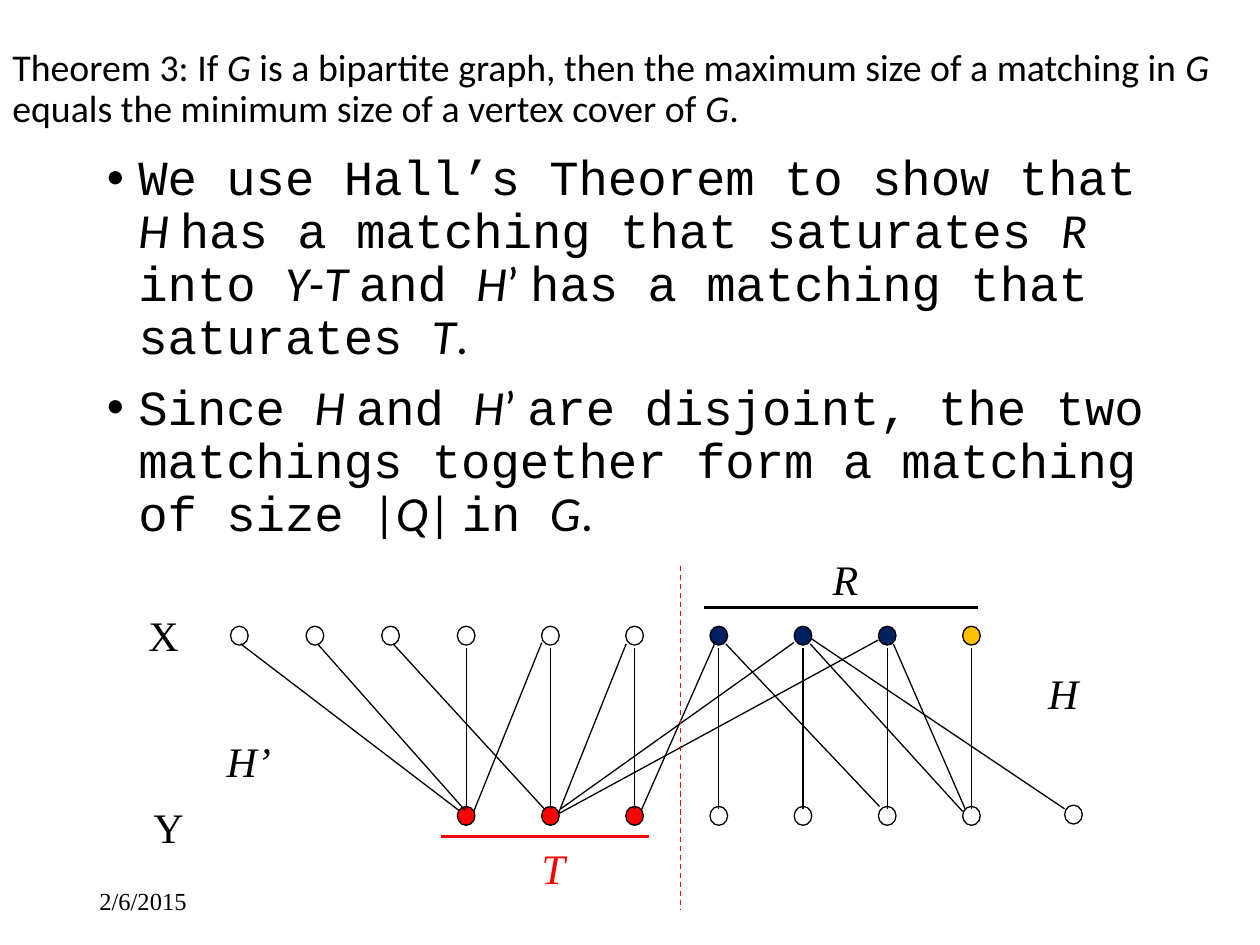
from pptx import Presentation
from pptx.dml.color import RGBColor
from pptx.enum.dml import MSO_LINE
from pptx.enum.shapes import MSO_CONNECTOR as Conn, MSO_SHAPE as Shape
from pptx.enum.text import MSO_ANCHOR as Anchor
from pptx.oxml.ns import qn
from pptx.util import Inches, Pt
from lxml.etree import SubElement

BLACK = RGBColor(0, 0, 0)
RED = RGBColor(0xFF, 0, 0)
NAVY = RGBColor(0, 0x20, 0x60)
GOLD = RGBColor(0xFF, 0xC0, 0)
SANS, MONO, SERIF = "Calibri", "Courier New", "Times New Roman"

prs = Presentation()
prs.slide_width, prs.slide_height = Inches(10), Inches(7.5)
slide = prs.slides.add_slide(prs.slide_layouts[6])
shapes = slide.shapes


def add_text(paras, box, size=24, font=SERIF, color=BLACK, italic=False,
             anchor=Anchor.TOP, space=None, bullet=False):
    """Each paragraph is a list of runs: plain text or (text, font, italic)."""
    frame = shapes.add_textbox(*map(Inches, box)).text_frame
    frame.word_wrap = True
    frame.vertical_anchor = anchor
    for i, runs in enumerate(paras):
        para = frame.paragraphs[0] if i == 0 else frame.add_paragraph()
        if bullet:
            props = para._p.get_or_add_pPr()
            props.set("marL", str(Inches(0.25)))
            props.set("indent", str(-Inches(0.25)))
            SubElement(props, qn("a:buFont"), typeface="Arial")
            SubElement(props, qn("a:buChar"), char="•")
        if space:
            para.line_spacing = space
        if i:
            para.space_before = Pt(10)
        for part in runs:
            words, face, slant = (part, font, italic) if isinstance(part, str) else part
            run = para.add_run()
            run.text = words
            run.font.name, run.font.size = face, Pt(size)
            run.font.italic = slant
            run.font.color.rgb = color


def add_line(x1, y1, x2, y2, color=BLACK, width=0.75):
    line = shapes.add_connector(Conn.STRAIGHT, *map(Inches, (x1, y1, x2, y2)))
    line.line.color.rgb = color
    line.line.width = Pt(width)
    SubElement(line._element.spPr, qn("a:effectLst"))
    return line


# Date, title and body
add_text([["2/6/2015"]], (0.69, 6.95, 2.25, 0.4), size=14, anchor=Anchor.MIDDLE)

G = ("G", SANS, True)
add_text([["Theorem 3: If ", G,
           " is a bipartite graph, then the maximum size of a matching in ", G,
           " equals the minimum size of a vertex cover of ", G, "."]],
         (0, 0.33, 10, 0.77), size=21.6, font=SANS, anchor=Anchor.MIDDLE, space=0.9)

H, HS = ("H", SANS, True), ("H ", SANS, True)
PRIME, DOT = ("’ ", SANS, False), (".", SANS, False)
add_text([
    ["We use Hall’s Theorem to show that ", HS, "has a matching that saturates ",
     ("R ", SANS, True), "into ", ("Y", SANS, True), ("-", SANS, False),
     ("T ", SANS, True), "and ", H, PRIME, "has a matching that saturates ",
     ("T", SANS, True), DOT],
    ["Since ", HS, "and ", H, PRIME,
     "are disjoint, the two matchings together form a matching of size ",
     ("|", SANS, False), ("Q", SANS, True), ("| ", SANS, False), "in ", G, DOT],
], (0.75, 1.17, 8.5, 3.05), size=28, font=MONO, space=0.9, bullet=True)

# Vertices: left edge, top edge, fill
TOP, LOW = 4.97, 6.4
cols = [3.63 + 4.01 / 6 * i for i in range(7)]
dots = [(x, TOP, None) for x in (1.83, 2.43, 3.03)] + [(8.45, 6.39, None)]
dots += zip(cols, [TOP] * 7, [None] * 3 + [NAVY] * 3 + [GOLD])
dots += zip(cols, [LOW] * 7, [RED] * 3 + [None] * 4)
for x, y, fill in dots:
    dot = shapes.add_shape(Shape.OVAL, *map(Inches, (x, y, 0.14, 0.15)))
    dot.shadow.inherit = False
    if fill is None:
        dot.fill.background()
    else:
        dot.fill.solid()
        dot.fill.fore_color.rgb = fill
    dot.line.color.rgb = BLACK
    dot.line.width = Pt(0.75)

# Upright edges, then slanted ones
for x in cols:
    add_line(x + 0.07, 5.14, x + 0.07, 6.42)
for ends in [
    (1.91, 5.11, 3.64, 6.43), (2.52, 5.11, 3.69, 6.43), (3.12, 5.11, 4.32, 6.42),
    (4.3, 5.1, 3.76, 6.44), (4.97, 5.11, 4.43, 6.46), (5.68, 5.09, 5.09, 6.43),
    (7.09, 5.11, 7.66, 6.42), (6.43, 5.11, 7.64, 6.44), (5.76, 5.11, 6.98, 6.4),
    (6.44, 5.07, 8.45, 6.42), (4.43, 6.46, 6.97, 5.08), (4.45, 6.42, 6.3, 5.1),
]:
    add_line(*ends)

# Divider and the bars marking T and R
split = add_line(5.4, 4.49, 5.4, 7.22, RED)
split.line.dash_style = MSO_LINE.DASH
add_line(3.5, 6.64, 5.15, 6.64, RED, 1.5)
add_line(5.59, 4.82, 7.76, 4.82, BLACK, 1.5)

# Set labels
for name, x, y, color, slant in [
    ("T", 4.2, 6.64, RED, True), ("R", 6.51, 4.34, BLACK, True),
    ("H", 8.22, 5.25, BLACK, True), ("H’", 1.7, 5.79, BLACK, True),
    ("X", 1.08, 4.79, BLACK, False), ("Y", 1.12, 6.31, BLACK, False),
]:
    add_text([[name]], (x, y, 0.56, 0.5), color=color, italic=slant)

prs.save("out.pptx")
